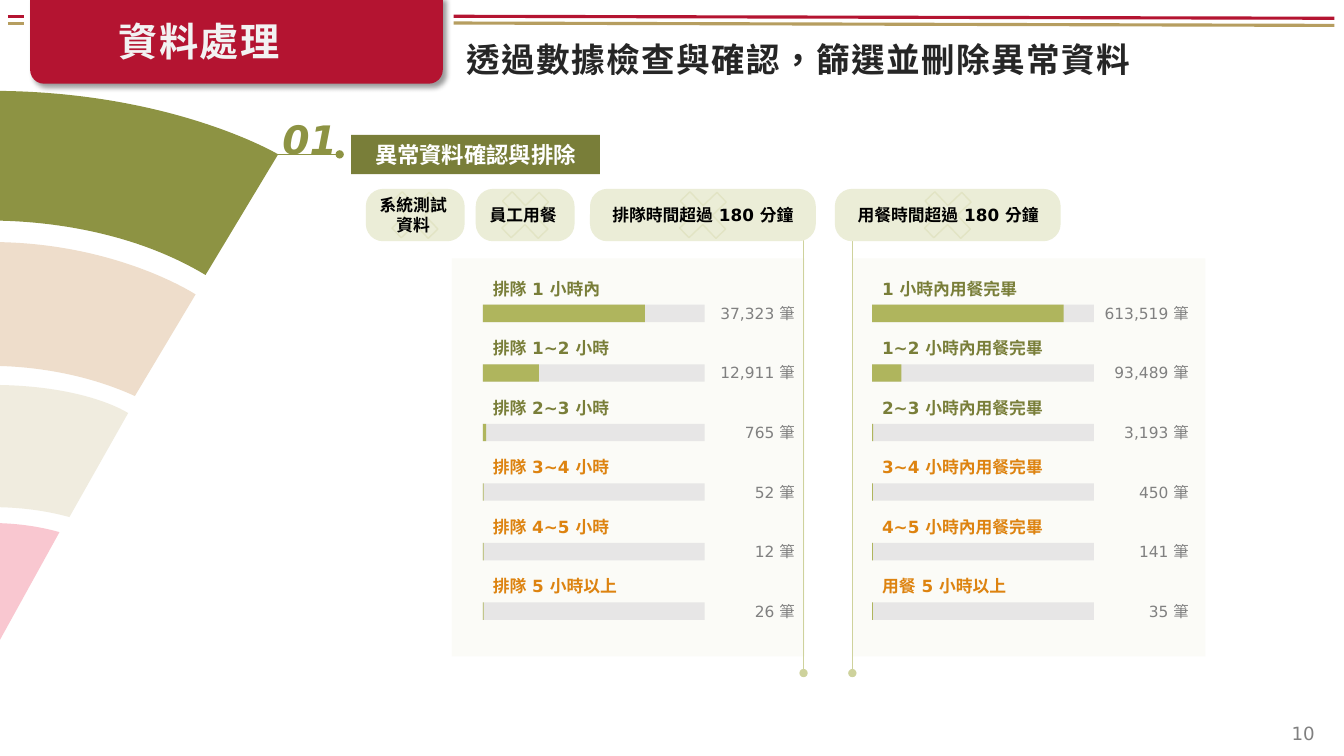
import pptx
import pptx.util
import pptx.dml.color
import pptx.enum.shapes
import pptx.enum.text
import pptx.oxml
import pptx.oxml.ns
from lxml import etree

Cm = pptx.util.Cm
Pt = pptx.util.Pt
RGBColor = pptx.dml.color.RGBColor
SHAPE = pptx.enum.shapes.MSO_SHAPE
ANCHOR = pptx.enum.text.MSO_ANCHOR
ALIGN = pptx.enum.text.PP_ALIGN
qn = pptx.oxml.ns.qn

RED = RGBColor(0xB4, 0x14, 0x31)
GOLD = RGBColor(0xB6, 0x9E, 0x60)
OLIVE = RGBColor(0x8D, 0x93, 0x43)
DARK_OLIVE = RGBColor(0x79, 0x7E, 0x39)
BAR_GREEN = RGBColor(0xAF, 0xB5, 0x5D)
LINE_GREEN = RGBColor(0xCE, 0xD2, 0x9C)
PILL = RGBColor(0xEB, 0xED, 0xD7)
CROSS = RGBColor(0xE2, 0xE4, 0xC4)
PANEL = RGBColor(0xFB, 0xFB, 0xF7)
TRACK = RGBColor(0xE7, 0xE6, 0xE6)
ORANGE = RGBColor(0xDD, 0x83, 0x10)
SAND = RGBColor(0xEE, 0xDD, 0xCB)
IVORY = RGBColor(0xF0, 0xEC, 0xDF)
PINK = RGBColor(0xF9, 0xC7, 0xD0)
GREY = RGBColor(0x80, 0x80, 0x80)
INK = RGBColor(0x26, 0x26, 0x26)
OFF_WHITE = RGBColor(0xF2, 0xF2, 0xF2)
WHITE = RGBColor(0xFF, 0xFF, 0xFF)
BLACK = RGBColor(0, 0, 0)

LATIN = "DejaVu Sans"
CJK = "Noto Sans CJK SC"

FAN_LEFT = -0.23
FAN_BANDS = [
    (PINK, 13.18, 16.54, [(FAN_LEFT, 16.54)] * 3, (1.5, 13.41), [(0.97, 13.26), (0.38, 13.18)]),
    (IVORY, 9.7, 12.78, [(0.05, 12.78), (0.84, 12.78), (1.75, 13.03)], (3.23, 10.41),
     [(3.23, 10.41), (2.18, 9.7)]),
    (SAND, 6.1, 9.22, [(0.41, 9.22), (1.91, 9.3), (3.4, 9.98)], (4.93, 7.42),
     [(4.93, 7.42), (2.92, 6.1)]),
    (OLIVE, 2.29, 5.56, [(0.61, 5.56), (3.07, 5.66), (5.18, 6.93)], (7.01, 3.89),
     [(7.01, 3.89), (4.32, 2.29)]),
]
PILLS = [
    ("系統測試資料", 9.22, 2.49, 9.27, 2.29, 1.27),
    ("員工用餐", 11.99, 2.49, 12.04, 2.29, 0.76),
    ("排隊時間超過 180 分鐘", 14.87, 5.69, 14.77, 5.89, 0.76),
    ("用餐時間超過 180 分鐘", 21.04, 5.69, 20.95, 5.89, 0.76),
]
DINING = [
    ("1 小時內用餐完畢", 613519), ("1~2 小時內用餐完畢", 93489),
    ("2~3 小時內用餐完畢", 3193), ("3~4 小時內用餐完畢", 450),
    ("4~5 小時內用餐完畢", 141), ("用餐 5 小時以上", 35),
]
QUEUE = [
    ("排隊 1 小時內", 37323), ("排隊 1~2 小時", 12911), ("排隊 2~3 小時", 765),
    ("排隊 3~4 小時", 52), ("排隊 4~5 小時", 12), ("排隊 5 小時以上", 26),
]
ROW_TOP, ROW_PITCH = 6.89, 1.5
TRACK_WIDTH, TRACK_HEIGHT = 5.59, 0.44


def write(tf, text, size, color, bold=False, italic=False, align=None, font=LATIN, spacing=0):
    p = tf.paragraphs[0]
    p.alignment = align
    r = p.add_run()
    r.text = text
    r.font.size = Pt(size)
    r.font.bold = bold
    r.font.italic = italic
    r.font.color.rgb = color
    r.font.name = font
    rpr = r._r.get_or_add_rPr()
    rpr.set("lang", "zh-TW")
    etree.SubElement(rpr, qn("a:ea")).set("typeface", font)
    if spacing:
        rpr.set("spc", str(spacing * 100))


def add_text(s, box, text, size, color, wrap=True, grow=True, anchor=ANCHOR.TOP,
             top_inset=0.13, bottom_inset=0.13, **style):
    sp = s.shapes.add_textbox(*map(Cm, box))
    tf = sp.text_frame
    tf.word_wrap = wrap
    if grow:
        tf.auto_size = pptx.enum.text.MSO_AUTO_SIZE.SHAPE_TO_FIT_TEXT
    tf.vertical_anchor = anchor
    tf.margin_top, tf.margin_bottom = Cm(top_inset), Cm(bottom_inset)
    write(tf, text, size, color, **style)


def add_block(s, kind, box, fill):
    sp = s.shapes.add_shape(kind, *map(Cm, box))
    sp.shadow.inherit = False
    sp.fill.solid()
    sp.fill.fore_color.rgb = fill
    sp.line.fill.background()
    return sp


def add_line(s, x1, y1, x2, y2, color, width, dot=False):
    c = s.shapes.add_connector(pptx.enum.shapes.MSO_CONNECTOR.STRAIGHT, Cm(x1), Cm(y1), Cm(x2), Cm(y2))
    c.line.color.rgb = color
    c.line.width = Pt(width)
    if dot:
        etree.SubElement(c.line._get_or_add_ln(), qn("a:tailEnd")).set("type", "oval")
    etree.SubElement(c._element.spPr, qn("a:effectLst"))


def bend(segments):
    cubic = etree.Element(qn("a:cubicBezTo"))
    segments[0].addprevious(cubic)
    for segment in segments:
        cubic.append(segment[0])
        segment.getparent().remove(segment)


def add_fan_band(s, color, top, bottom, inner, tip, outer):
    start = (FAN_LEFT, top)
    points = [(FAN_LEFT, bottom), *inner, tip, *outer, start]
    builder = s.shapes.build_freeform(Cm(start[0]), Cm(start[1]))
    builder.add_line_segments([(Cm(x), Cm(y)) for x, y in points], close=True)
    sp = builder.convert_to_shape()
    segments = list(sp._element.spPr.iter(qn("a:lnTo")))
    bend(segments[1:4])
    bend(segments[5:8])
    sp.shadow.inherit = False
    sp.fill.solid()
    sp.fill.fore_color.rgb = color
    sp.line.fill.background()


def add_header(s):
    for color, y, y_end, y_short in ((RED, 0.41, 0.46, 0.42), (GOLD, 0.58, 0.64, 0.6)):
        add_line(s, 11.43, y, 33.63, y_end, color, 2.25)
        add_line(s, 0.2, y_short, 0.61, y_short, color, 2.25)
    sp = add_block(s, SHAPE.ROUND_2_SAME_RECTANGLE, (0.76, -0.08, 10.4, 2.19), RED)
    sp.adjustments[0], sp.adjustments[1] = 0, 0.16
    effects = sp._element.spPr.find(qn("a:effectLst"))
    shadow = etree.SubElement(effects, qn("a:outerShdw"), blurRad=str(Pt(4)), dist=str(Pt(3)),
                              dir="2700000", algn="tl", rotWithShape="0")
    color = etree.SubElement(shadow, qn("a:srgbClr"), val="000000")
    etree.SubElement(color, qn("a:alpha"), val="40000")
    add_text(s, (2.74, 0.3, 4.65, 1.45), "資料處理", 28, OFF_WHITE, wrap=False, bold=True,
             font=CJK, spacing=1)


def add_section_title(s):
    sp = add_block(s, SHAPE.RECTANGLE, (8.85, 3.4, 6.27, 0.99), DARK_OLIVE)
    sp.text_frame.vertical_anchor = ANCHOR.MIDDLE
    write(sp.text_frame, "異常資料確認與排除", 16, WHITE, bold=True, align=ALIGN.CENTER)
    add_line(s, 6.53, 3.89, 8.56, 3.89, OLIVE, 0.75, dot=True)
    add_text(s, (6.81, 2.77, 1.93, 1.45), "01", 28, OLIVE, wrap=False, bold=True, italic=True,
             align=ALIGN.RIGHT)


def add_pill(s, text, left, width, text_left, text_width, text_height):
    top, height, cross_size = 4.76, 1.32, 1.3
    center, middle = left + width / 2, top + height / 2
    sp = add_block(s, SHAPE.ROUNDED_RECTANGLE, (left, top, width, height), PILL)
    sp.adjustments[0] = 0.33
    half = cross_size / 2
    sp = add_block(s, SHAPE.CROSS, (center - half, middle - half, cross_size, cross_size), PILL)
    sp.adjustments[0] = 0.37
    sp.rotation = 46.3
    sp.fill.background()
    sp.line.color.rgb = CROSS
    sp.line.width = Pt(1)
    add_text(s, (text_left, middle - text_height / 2, text_width, text_height),
             text, 12, BLACK, bold=True, align=ALIGN.CENTER)


def add_bars(s, rows, left, count_left):
    total = sum(count for _, count in rows)
    for i, (label, count) in enumerate(rows):
        top = ROW_TOP + i * ROW_PITCH
        bar_top = top + 0.79
        filled = max(TRACK_WIDTH * count / total, 0.02)
        add_text(s, (count_left, top + 0.47, 2.92, 1.12), f"{count:,} 筆", 11, GREY, grow=False,
                 anchor=ANCHOR.MIDDLE, top_inset=0.2, bottom_inset=0.25, align=ALIGN.RIGHT)
        for width, color in ((TRACK_WIDTH, TRACK), (filled, BAR_GREEN)):
            add_block(s, SHAPE.RECTANGLE, (left, bar_top, width, TRACK_HEIGHT), color)
        add_text(s, (left, top, 5.51, 0.76), label, 12, DARK_OLIVE if i < 3 else ORANGE, bold=True)


def main():
    prs = pptx.Presentation()
    prs.slide_width, prs.slide_height = Cm(33.87), Cm(19.05)
    s = prs.slides.add_slide(prs.slide_layouts[6])
    add_header(s)
    for left in (21.49, 11.39):
        add_block(s, SHAPE.RECTANGLE, (left, 6.51, 8.89, 10.03), PANEL)
    for x in (20.25, 21.48):
        add_line(s, x, 5.97, x, 16.96, LINE_GREEN, 0.75, dot=True)
    for band in FAN_BANDS:
        add_fan_band(s, *band)
    add_section_title(s)
    for pill in PILLS:
        add_pill(s, *pill)
    add_text(s, (28.88, 17.96, 4.5, 1.02), "10", 13, GREY, grow=False, anchor=ANCHOR.MIDDLE,
             align=ALIGN.RIGHT)
    add_bars(s, DINING, 21.98, 27.29)
    add_bars(s, QUEUE, 12.17, 17.36)
    add_text(s, (11.51, 0.86, 17.42, 1.27), "透過數據檢查與確認，篩選並刪除異常資料", 24, INK,
             wrap=False, bold=True, spacing=1)
    prs.save("out.pptx")


if __name__ == "__main__":
    main()
